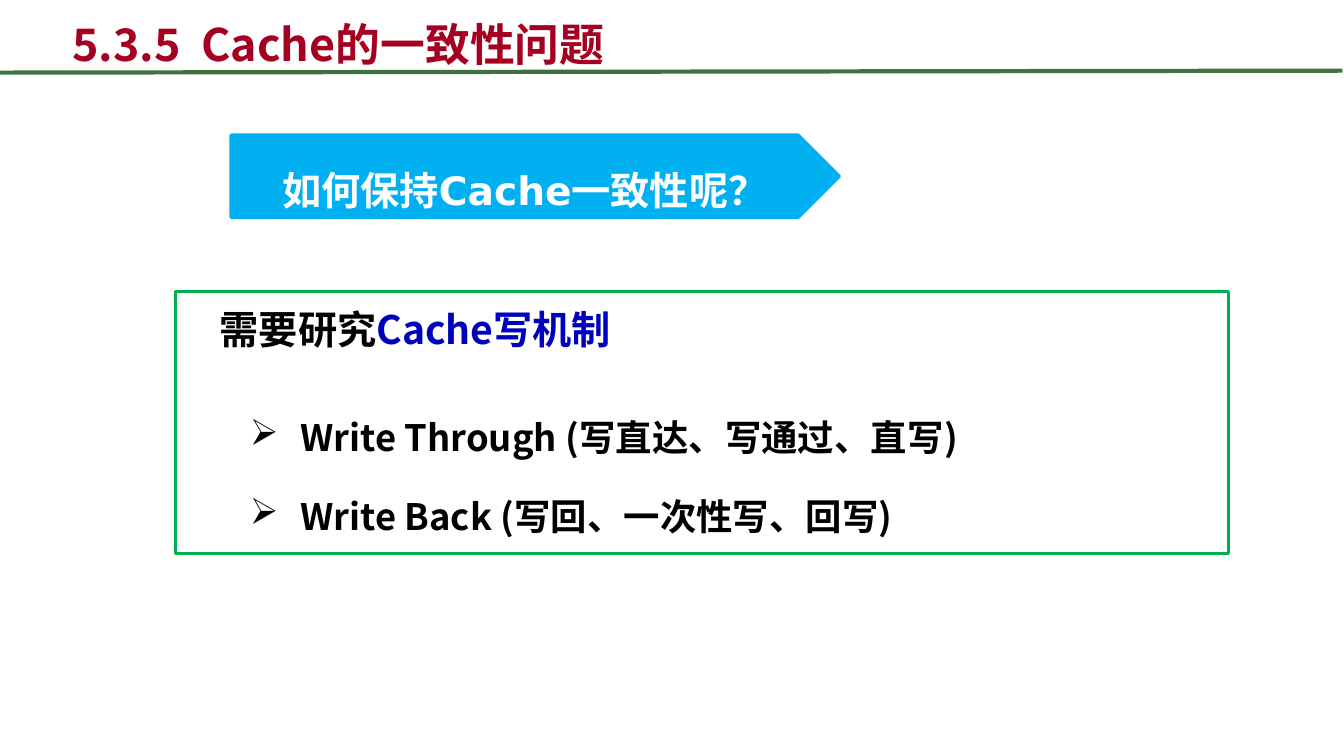
from lxml.etree import SubElement as Sub
from pptx import Presentation
from pptx.dml.color import RGBColor
from pptx.enum.shapes import MSO_CONNECTOR as Link, MSO_SHAPE as Kind
from pptx.enum.text import MSO_ANCHOR as Anchor, MSO_AUTO_SIZE as Auto, PP_ALIGN as Align
from pptx.oxml.ns import qn
from pptx.util import Cm, Pt

NOTO = "Noto Sans CJK SC"


def tint(code):
    """Return the colour for a hex string."""
    return RGBColor.from_string(code)


def style(item, **vals):
    """Set each given value on an item."""
    for name, val in vals.items():
        setattr(item, name, val)


def place(shape, box):
    """Move a shape to a box in centimetres."""
    style(shape, **dict(zip(("left", "top", "width", "height"), map(Cm, box))))


def write(para, text, size, color, face=NOTO):
    """Add a bold run to a paragraph."""
    run = para.add_run()
    run.text = text
    style(run.font, size=Pt(size), bold=True, name=face)
    run.font.color.rgb = tint(color)
    Sub(run.font._element, qn("a:ea"), typeface=NOTO)


def panel(slide, kind, box, fill, edge):
    """Draw a filled, outlined shape and return it."""
    shape = slide.shapes.add_shape(kind, *map(Cm, box))
    shape.shadow.inherit = False
    shape.fill.solid()
    shape.fill.fore_color.rgb = tint(fill)
    shape.line.color.rgb = tint(edge)
    shape.line.width = Pt(2)
    return shape


def header(slide, box):
    """Draw the rule and fill the title above it."""
    left, top, width, height = box
    rule = slide.shapes.add_connector(
        Link.STRAIGHT, Cm(0), Cm(top + height - 0.07), Cm(33.83), Cm(top + height - 0.12))
    rule.line.color.rgb = tint("3F7141")
    rule.line.width = Pt(3)
    Sub(rule._element.spPr, qn("a:effectLst"))
    title = slide.shapes.title
    place(title, box)
    style(title.text_frame, vertical_anchor=Anchor.BOTTOM, auto_size=Auto.NONE, word_wrap=True)
    para = title.text_frame.paragraphs[0]
    para.alignment = Align.LEFT
    tabs = Sub(para._p.get_or_add_pPr(), qn("a:tabLst"))
    Sub(tabs, qn("a:tab"), pos=str(Cm(3.25)), algn="l")
    write(para, "5.3.5\tCache的一致性问题", 32, "A50021")


def banner(slide, box):
    """Draw the arrow that asks the question."""
    frame = panel(slide, Kind.PENTAGON, box, "00B0F0", "00B0F0").text_frame
    style(frame, vertical_anchor=Anchor.MIDDLE, word_wrap=True)
    para = frame.paragraphs[0]
    style(para, alignment=Align.CENTER, line_spacing=1.6)
    write(para, "如何保持Cache一致性呢？", 28, "FFFFFF", "DejaVu Sans")


def bullet(slide, box, text):
    """Add one bulleted line."""
    frame = slide.shapes.add_textbox(*map(Cm, box)).text_frame
    frame.word_wrap = True
    para = frame.paragraphs[0]
    para.line_spacing = 1.6
    props = para._p.get_or_add_pPr()
    style_of = {"marL": Cm(1.27), "indent": Cm(-1.27)}
    for name, val in style_of.items():
        props.set(name, str(val))
    Sub(props, qn("a:buChar"), char="➢")
    write(para, text, 26, "000000")


def policy(slide, box):
    """Draw the frame of write policies with its lead and bullets."""
    left, top, width, height = box
    frame = panel(slide, Kind.RECTANGLE, box, "FFFFFF", "00B050").text_frame
    style(frame, vertical_anchor=Anchor.TOP, word_wrap=True)
    para = frame.paragraphs[0]
    style(para, alignment=Align.LEFT, line_spacing=1.2)
    para._p.get_or_add_pPr().set("marL", str(Cm(0.87)))
    write(para, "需要研究", 28, "000000")
    write(para, "Cache写机制", 28, "0000BF")
    lines = ("Write Through (写直达、写通过、直写)", "Write Back (写回、一次性写、回写)")
    for row, text in enumerate(lines):
        bullet(slide, (left + 1.63, top + 2.34 + 1.98 * row, 20.37, 1.8), text)


def main():
    """Build and save the deck."""
    deck = Presentation()
    style(deck, slide_width=Cm(33.87), slide_height=Cm(19.05))
    slide = deck.slides.add_slide(deck.slide_layouts[5])
    header(slide, (1.57, 0.03, 26, 1.87))
    policy(slide, (4.42, 7.34, 26.54, 6.6))
    banner(slide, (5.82, 3.4, 15.34, 2.08))
    deck.save("out.pptx")


if __name__ == "__main__":
    main()
